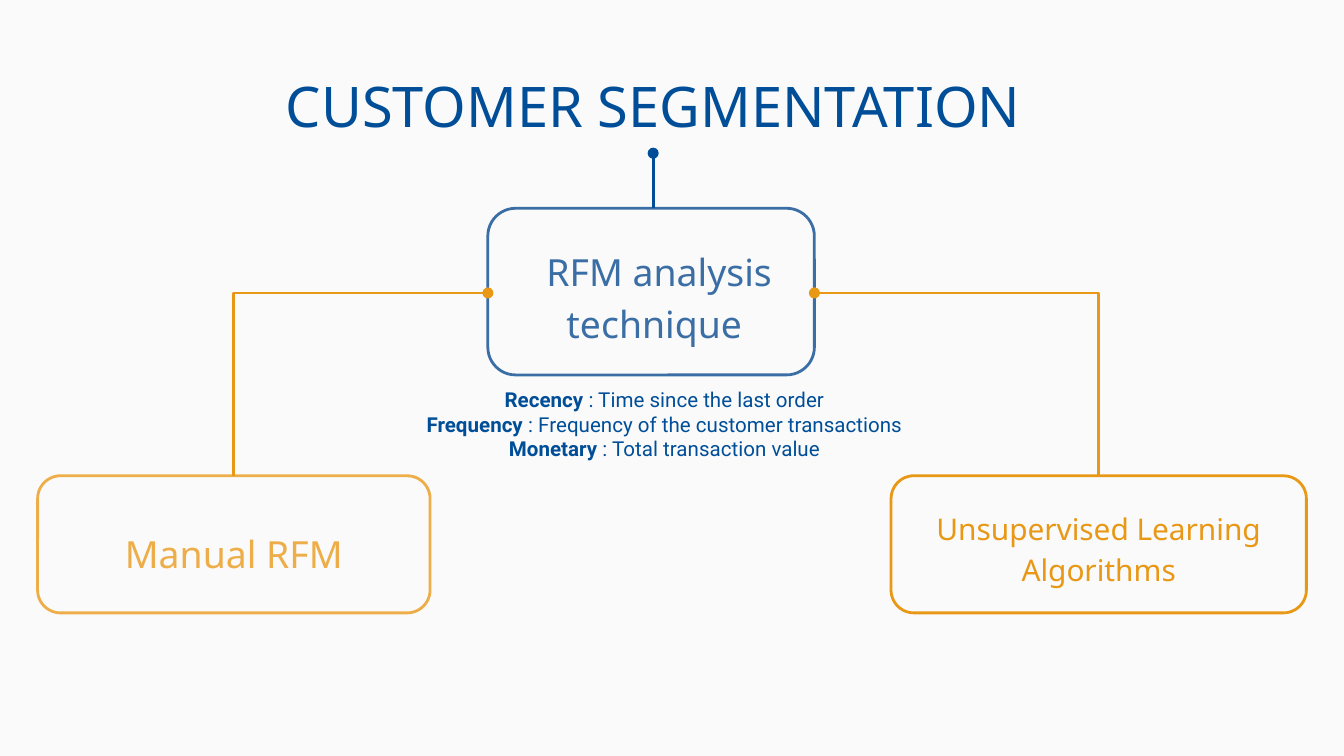
from lxml import etree
from pptx import Presentation
from pptx.dml.color import RGBColor
from pptx.enum import shapes, text
from pptx.oxml.ns import qn
from pptx.util import Inches, Pt

COLORS = {
    "background": "FAFAFA",
    "navy": "004E98",
    "blue": "3A6EA5",
    "orange": "E99816",
    "amber": "EDAE49",
}
RFM_TERMS = [
    ("Recency", "Time since the last order"),
    ("Frequency", "Frequency of the customer transactions"),
    ("Monetary", "Total transaction value"),
]
# left, top, width, height
RFM_BOX = (3.63, 1.55, 2.43, 1.24)
MANUAL_BOX = (0.28, 3.54, 2.92, 1.02)
LEARNING_BOX = (6.63, 3.54, 3.09, 1.02)


def rgb(color):
    return RGBColor.from_string(COLORS[color])


def add_frame(slide, box, color):
    """Add an unfilled rounded box."""
    frame = slide.shapes.add_shape(
        shapes.MSO_SHAPE.ROUNDED_RECTANGLE, *map(Inches, box))
    frame.shadow.inherit = False
    frame.fill.background()
    frame.line.color.rgb = rgb(color)
    frame.line.width = Pt(1.5)


def style_run(run, size, color, font, bold=False):
    run.font.size = Pt(size)
    run.font.name = font
    run.font.bold = bold
    run.font.color.rgb = rgb(color)


def add_text_area(slide, box, anchor):
    """Add an empty wrapping text box and return its text frame."""
    frame = slide.shapes.add_textbox(*map(Inches, box)).text_frame
    frame.word_wrap = True
    frame.vertical_anchor = anchor
    frame.margin_left = frame.margin_right = Inches(0.1)
    frame.margin_top = frame.margin_bottom = Inches(0.1)
    return frame


def add_label(slide, box, wording, size, color, spacing=1.15,
              anchor=text.MSO_ANCHOR.TOP, indent=0):
    frame = add_text_area(slide, box, anchor)
    frame.text = wording
    paragraph = frame.paragraphs[0]
    paragraph.alignment = text.PP_ALIGN.CENTER
    paragraph.line_spacing = spacing
    if indent:
        paragraph._p.get_or_add_pPr().set("marL", str(Inches(indent)))
    style_run(paragraph.runs[0], size, color, "Noto Sans")


def add_definitions(slide, box):
    frame = add_text_area(slide, box, text.MSO_ANCHOR.TOP)
    for index, (term, meaning) in enumerate(RFM_TERMS):
        paragraph = frame.add_paragraph() if index else frame.paragraphs[0]
        paragraph.alignment = text.PP_ALIGN.CENTER
        for wording, bold in ((term, True), (f" : {meaning}", False)):
            run = paragraph.add_run()
            run.text = wording
            style_run(run, 11, "navy", "Roboto", bold)


def add_link(slide, start, end, color, bent=False):
    """Add a line with a dot at its start; a bent one runs across, then down."""
    kind = shapes.MSO_CONNECTOR.ELBOW if bent else shapes.MSO_CONNECTOR.STRAIGHT
    link = slide.shapes.add_connector(kind, *map(Inches, start + end))
    link.line.color.rgb = rgb(color)
    link.line.width = Pt(1.5)
    properties = link._element.spPr
    if bent:
        properties.find(qn("a:prstGeom")).set("prst", "bentConnector2")
    etree.SubElement(properties.find(qn("a:ln")), qn("a:headEnd"), type="oval")
    etree.SubElement(properties, qn("a:effectLst"))


def main():
    deck = Presentation()
    deck.slide_width = Inches(10)
    deck.slide_height = Inches(10) * 9 // 16
    slide = deck.slides.add_slide(deck.slide_layouts[6])
    slide.background.fill.solid()
    slide.background.fill.fore_color.rgb = rgb("background")

    add_frame(slide, RFM_BOX, "blue")
    add_frame(slide, MANUAL_BOX, "amber")
    add_frame(slide, LEARNING_BOX, "orange")

    middle = text.MSO_ANCHOR.MIDDLE
    add_label(slide, (0.62, 0.43, 8.48, 0.63), "CUSTOMER SEGMENTATION",
              30, "navy", spacing=1)
    add_label(slide, (3.63, 1.57, 2.43, 1.24), "RFM analysis technique ",
              20, "blue", anchor=middle, indent=0.12)
    add_label(slide, (0.28, 3.83, 2.92, 0.53), "Manual RFM",
              20, "amber", anchor=middle)
    add_label(slide, (6.63, 3.66, 3.09, 0.79),
              "Unsupervised Learning Algorithms", 16, "orange")
    add_definitions(slide, (2.46, 2.78, 4.97, 0.75))

    left, top, width, _ = RFM_BOX
    branches = ((left, MANUAL_BOX), (left + width, LEARNING_BOX))
    for edge, (child_left, child_top, child_width, _) in branches:
        child_center = child_left + child_width / 2
        add_link(slide, (edge, 2.18), (child_center, child_top), "orange", bent=True)
    stem = 4.86
    add_link(slide, (stem, 1.14), (stem, top), "navy")

    deck.save("out.pptx")


if __name__ == "__main__":
    main()
